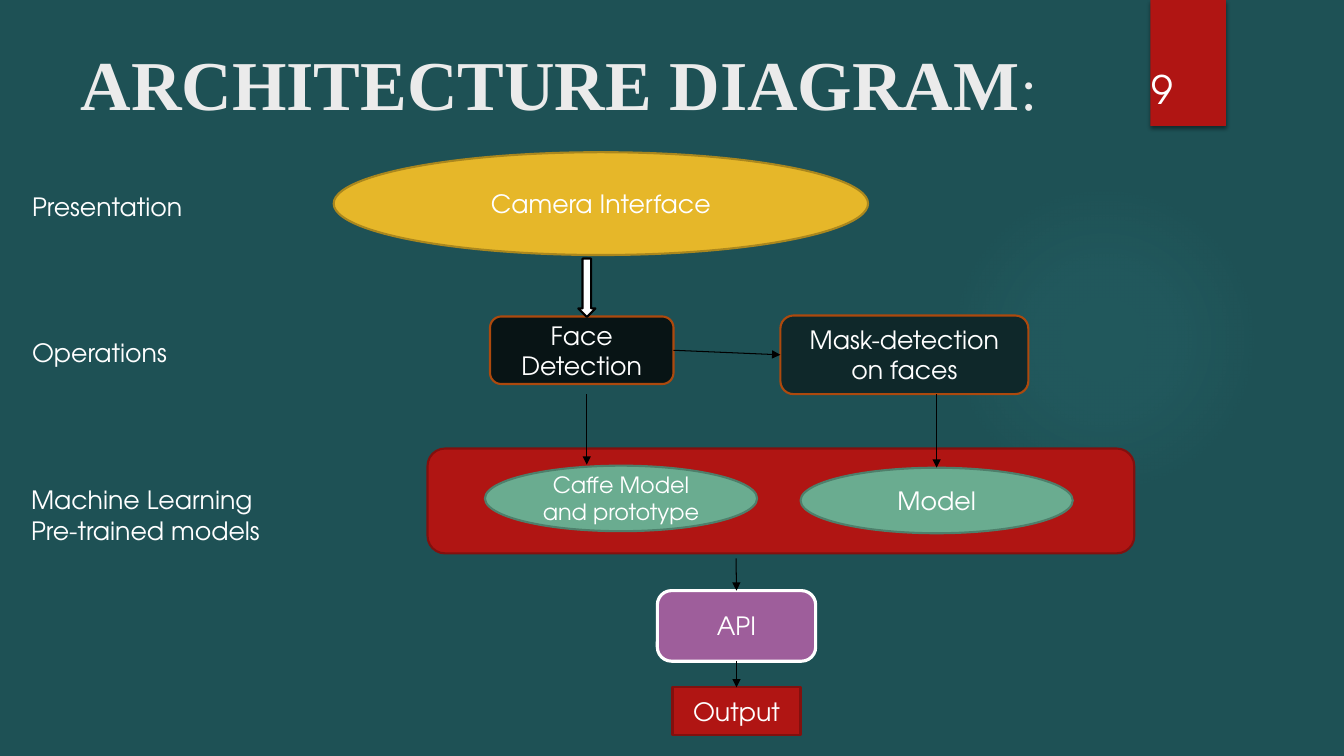
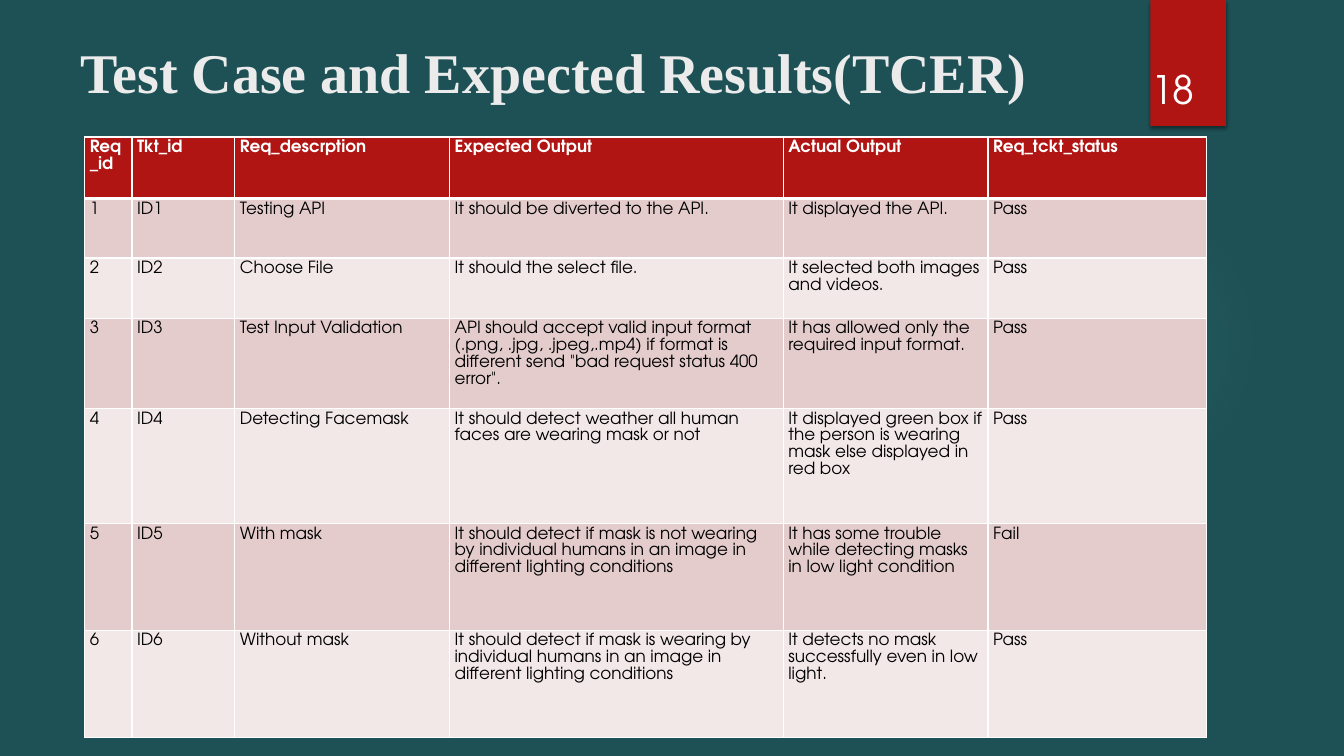
import dataclasses
import typing

import lxml.etree
import pptx
import pptx.dml.color
import pptx.enum.shapes
import pptx.enum.text
import pptx.oxml
import pptx.oxml.ns
import pptx.util

PX = 9144  # one px is a hundredth of an inch
SLIDE_WIDTH, SLIDE_HEIGHT = 1333, 750
BODY_FONT, TITLE_FONT = "TeX Gyre Adventor", "Times New Roman"

COLORS = {
    "background": "1E5155", "glow": "50B9C1", "title": "EBEBEB",
    "white": "FFFFFF", "black": "000000",
    "red": "B01513", "red_edge": "82100E",
    "gold": "E6B729", "gold_edge": "AA871E",
    "green": "6AAC90", "green_edge": "4E7F6B",
    "ink": "081415", "deep_teal": "0F282A", "rust": "AD490D",
    "purple": "9E5E9B", "band_dark": "E4CCCC", "band_light": "F2E8E7",
}

PRESET = pptx.enum.shapes.MSO_SHAPE
ALIGN = pptx.enum.text.PP_ALIGN
ANCHOR = pptx.enum.text.MSO_ANCHOR
Box = tuple[int, int, int, int]  # left, top, width, height
Point = tuple[int, int]


@dataclasses.dataclass(frozen=True)
class Node:
    name: str
    preset: typing.Any
    box: Box
    fill: str
    edge: str
    text: str = ""
    size: int = 18
    edge_width: float = 1.5
    rotation: int = 0
    corner: float | None = None


@dataclasses.dataclass(frozen=True)
class Arrow:
    start: Point
    end: Point
    source: tuple[str, int] | None = None  # node name, side
    target: tuple[str, int] | None = None


@dataclasses.dataclass(frozen=True)
class Label:
    text: str
    box: Box


NODES = [
    Node("camera", PRESET.OVAL, (331, 151, 530, 102), "gold", "gold_edge", "Camera Interface"),
    Node("models", PRESET.ROUNDED_RECTANGLE, (424, 445, 701, 104), "red", "red_edge"),
    Node("caffe", PRESET.OVAL, (481, 462, 270, 65), "green", "green_edge",
         "Caffe Model and prototype", size=16),
    Node("face", PRESET.ROUNDED_RECTANGLE, (486, 314, 182, 67), "ink", "rust", "Face Detection"),
    Node("mask", PRESET.ROUNDED_RECTANGLE, (774, 313, 246, 78), "deep_teal", "rust",
         "Mask-detection on faces"),
    Node("model", PRESET.OVAL, (794, 464, 270, 65), "green", "green_edge", "Model"),
    Node("block arrow", PRESET.RIGHT_ARROW, (553, 277, 58, 17), "white", "black", rotation=90),
    Node("output", PRESET.RECTANGLE, (667, 682, 127, 47), "red", "red_edge", "Output"),
    Node("api", PRESET.ROUNDED_RECTANGLE, (652, 586, 157, 70), "purple", "white", "API",
         edge_width=2.25, corner=0.2),
]

ARROWS = [
    Arrow((668, 347), (774, 352), ("face", 3), ("mask", 1)),
    Arrow((929, 391), (929, 464), target=("model", 0)),
    Arrow((582, 391), (582, 461)),
    Arrow((730, 554), (730, 586), target=("api", 0)),
    Arrow((730, 656), (730, 682), ("api", 2), ("output", 0)),
]

LABELS = [
    Label("Presentation", (22, 185, 173, 40)),
    Label("Operations", (22, 330, 204, 40)),
    Label("Machine Learning\nPre-trained models", (21, 476, 262, 71)),
]

COLUMN_WIDTHS = [47, 102, 213, 331, 203, 217]
ROW_HEIGHTS = [61, 59, 60, 86, 114, 106, 106]
TEST_CASES = [
    ("Req_id", "Tkt_id", "Req_descrption", "Expected Output", "Actual Output", "Req_tckt_status"),
    ("1", "ID1", "Testing API", "It should be diverted to the API.",
     "It displayed the API.", "Pass"),
    ("2", "ID2", "Choose File", "It should the select file.",
     "It selected both images and videos.", "Pass"),
    ("3", "ID3", "Test Input Validation",
     "API should accept valid input format (.png, .jpg, .jpeg,.mp4) if format is different "
     'send "bad request status 400 error".',
     "It has allowed only the required input format.", "Pass"),
    ("4", "ID4", "Detecting Facemask",
     "It should detect weather all human faces are wearing mask or not",
     "It displayed green box if the person is wearing mask else displayed in red box", "Pass"),
    ("5", "ID5", "With mask",
     "It should detect if mask is not wearing by individual humans in an image in different "
     "lighting conditions",
     "It has some trouble while detecting masks in low light condition", "Fail"),
    ("6", "ID6", "Without mask",
     "It should detect if mask is wearing by individual humans in an image in different "
     "lighting conditions",
     "It detects no mask successfully even in low light.", "Pass"),
]


# Helpers
def px(*lengths: int) -> list[pptx.util.Emu]:
    return [pptx.util.Emu(length * PX) for length in lengths]


def rgb(color: str) -> pptx.dml.color.RGBColor:
    return pptx.dml.color.RGBColor.from_string(COLORS[color])


def xml(markup: str) -> typing.Any:
    """Parse one drawing element, declaring the namespace on its first tag."""
    tag, rest = markup[1:].split(" ", 1)
    return pptx.oxml.parse_xml(f"<{tag} {pptx.oxml.ns.nsdecls('a')} {rest}")


def write_text(frame, text: str, *, size: float = 18, color: str = "white",
               font: str = BODY_FONT, bold: bool = False, align=ALIGN.LEFT,
               line_spacing: float | None = None, space_after: int | None = None) -> None:
    """Add runs to the last paragraph; each line break starts another paragraph."""
    for index, line in enumerate(text.split("\n")):
        paragraph = frame.add_paragraph() if index else frame.paragraphs[-1]
        paragraph.alignment = align
        if line_spacing is not None:
            paragraph.line_spacing = line_spacing
        if space_after is not None:
            paragraph.space_after = pptx.util.Pt(space_after)
        run = paragraph.add_run()
        run.text = line
        run.font.size = pptx.util.Pt(size)
        run.font.name = font
        run.font.bold = bold
        run.font.color.rgb = rgb(color)


def add_frame(slide, box: Box, anchor=ANCHOR.TOP):
    frame = slide.shapes.add_textbox(*px(*box)).text_frame
    frame.word_wrap = True
    frame.vertical_anchor = anchor
    return frame


def add_plain_shape(slide, preset, box: Box, fill: str):
    shape = slide.shapes.add_shape(preset, *px(*box))
    shape.shadow.inherit = False
    shape.fill.solid()
    shape.fill.fore_color.rgb = rgb(fill)
    shape.line.fill.background()
    return shape


# Shared slide design
def add_glow(slide) -> None:
    glow = add_plain_shape(slide, PRESET.OVAL, (941, 183, 308, 308), "glow")
    stops = "".join(
        f'<a:gs pos="{position}000"><a:srgbClr val="{COLORS["glow"]}">'
        f'<a:alpha val="{alpha}000"/></a:srgbClr></a:gs>'
        for position, alpha in ((0, 7), (36, 6), (69, 0)))
    gradient = xml(
        f'<a:gradFill rotWithShape="1"><a:gsLst>{stops}</a:gsLst><a:path path="circle">'
        '<a:fillToRect l="50000" t="50000" r="50000" b="50000"/></a:path></a:gradFill>')
    properties = glow.element.spPr
    properties.replace(properties.find(pptx.oxml.ns.qn("a:solidFill")), gradient)


def add_ribbon(slide, number: int) -> None:
    ribbon = add_plain_shape(slide, PRESET.RECTANGLE, (1141, 0, 75, 125), "red")
    effects = ribbon.element.spPr.find(pptx.oxml.ns.qn("a:effectLst"))
    effects.append(xml(
        '<a:outerShdw blurRad="38100" dist="25400" dir="5400000" rotWithShape="0">'
        f'<a:srgbClr val="{COLORS["black"]}"><a:alpha val="45000"/></a:srgbClr></a:outerShdw>'))
    write_text(add_frame(slide, (1132, 32, 92, 84), ANCHOR.BOTTOM), str(number), size=28)


def add_base_slide(presentation, number: int):
    slide = presentation.slides.add_slide(presentation.slide_layouts[6])
    slide.background.fill.solid()
    slide.background.fill.fore_color.rgb = rgb("background")
    add_glow(slide)
    add_ribbon(slide, number)
    return slide


def add_title(slide, text: str, box: Box, size: int, line_spacing: float | None = None):
    frame = add_frame(slide, box, ANCHOR.BOTTOM)
    write_text(frame, text, size=size, color="title", font=TITLE_FONT, bold=True,
               line_spacing=line_spacing)
    return frame


# Diagram parts
def add_node(slide, node: Node):
    shape = add_plain_shape(slide, node.preset, node.box, node.fill)
    shape.line.color.rgb = rgb(node.edge)
    shape.line.width = pptx.util.Pt(node.edge_width)
    shape.rotation = node.rotation
    if node.corner is not None:
        shape.adjustments[0] = node.corner
    if node.text:
        shape.text_frame.word_wrap = True
        shape.text_frame.vertical_anchor = ANCHOR.MIDDLE
        write_text(shape.text_frame, node.text, size=node.size, align=ALIGN.CENTER)
    return shape


def add_arrow(slide, arrow: Arrow, shapes: dict[str, typing.Any]) -> None:
    connector = slide.shapes.add_connector(
        pptx.enum.shapes.MSO_CONNECTOR.STRAIGHT, *px(*arrow.start, *arrow.end))
    if arrow.source:
        connector.begin_connect(shapes[arrow.source[0]], arrow.source[1])
    if arrow.target:
        connector.end_connect(shapes[arrow.target[0]], arrow.target[1])
    connector.line.color.rgb = rgb("black")
    connector.line.width = pptx.util.Pt(0.75)
    connector.line._get_or_add_ln().append(xml('<a:tailEnd type="triangle"/>'))
    lxml.etree.SubElement(connector.element.spPr, pptx.oxml.ns.qn("a:effectLst"))


# Table parts
def set_cell_borders(cell, widths: dict[str, int]) -> None:
    properties = cell._tc.get_or_add_tcPr()
    for side, points in widths.items():
        properties.append(xml(
            f'<a:ln{side} w="{points * 12700}"><a:solidFill>'
            f'<a:srgbClr val="{COLORS["white"]}"/></a:solidFill></a:ln{side}>'))


def fill_cell(cell, text: str, row: int) -> None:
    header = row == 0
    set_cell_borders(cell, {"L": 1, "R": 1, "T": 3 if row == 1 else 1, "B": 3 if header else 1})
    cell.fill.solid()
    cell.fill.fore_color.rgb = rgb("red" if header else "band_dark" if row % 2 else "band_light")
    cell.margin_left, cell.margin_top, cell.margin_right, cell.margin_bottom = px(5, 2, 5, 2)
    write_text(cell.text_frame, text, size=12, color="white" if header else "black",
               bold=header, line_spacing=1.07, space_after=8)


# Slides
def build_architecture(presentation) -> None:
    slide = add_base_slide(presentation, 9)
    title = add_title(slide, "ARCHITECTURE DIAGRAM", (70, 35, 1014, 93), 50)
    write_text(title, ":", size=42, color="title", font=TITLE_FONT)
    shapes = {node.name: add_node(slide, node) for node in NODES}
    for arrow in ARROWS:
        add_arrow(slide, arrow, shapes)
    for label in LABELS:
        write_text(add_frame(slide, label.box), label.text)


def build_test_cases(presentation) -> None:
    slide = add_base_slide(presentation, 18)
    add_title(slide, "Test Case and Expected Results(TCER)", (70, 23, 978, 87), 40, 0.9)
    table = slide.shapes.add_table(
        len(ROW_HEIGHTS), len(COLUMN_WIDTHS),
        *px(84, 136, sum(COLUMN_WIDTHS), sum(ROW_HEIGHTS))).table
    table.horz_banding = False
    for column, width in zip(table.columns, px(*COLUMN_WIDTHS)):
        column.width = width
    for row, height in zip(table.rows, px(*ROW_HEIGHTS)):
        row.height = height
    for row_index, texts in enumerate(TEST_CASES):
        for column_index, text in enumerate(texts):
            fill_cell(table.cell(row_index, column_index), text, row_index)


def main() -> None:
    presentation = pptx.Presentation()
    presentation.slide_width, presentation.slide_height = px(SLIDE_WIDTH, SLIDE_HEIGHT)
    build_architecture(presentation)
    build_test_cases(presentation)
    presentation.save("out.pptx")


if __name__ == "__main__":
    main()
